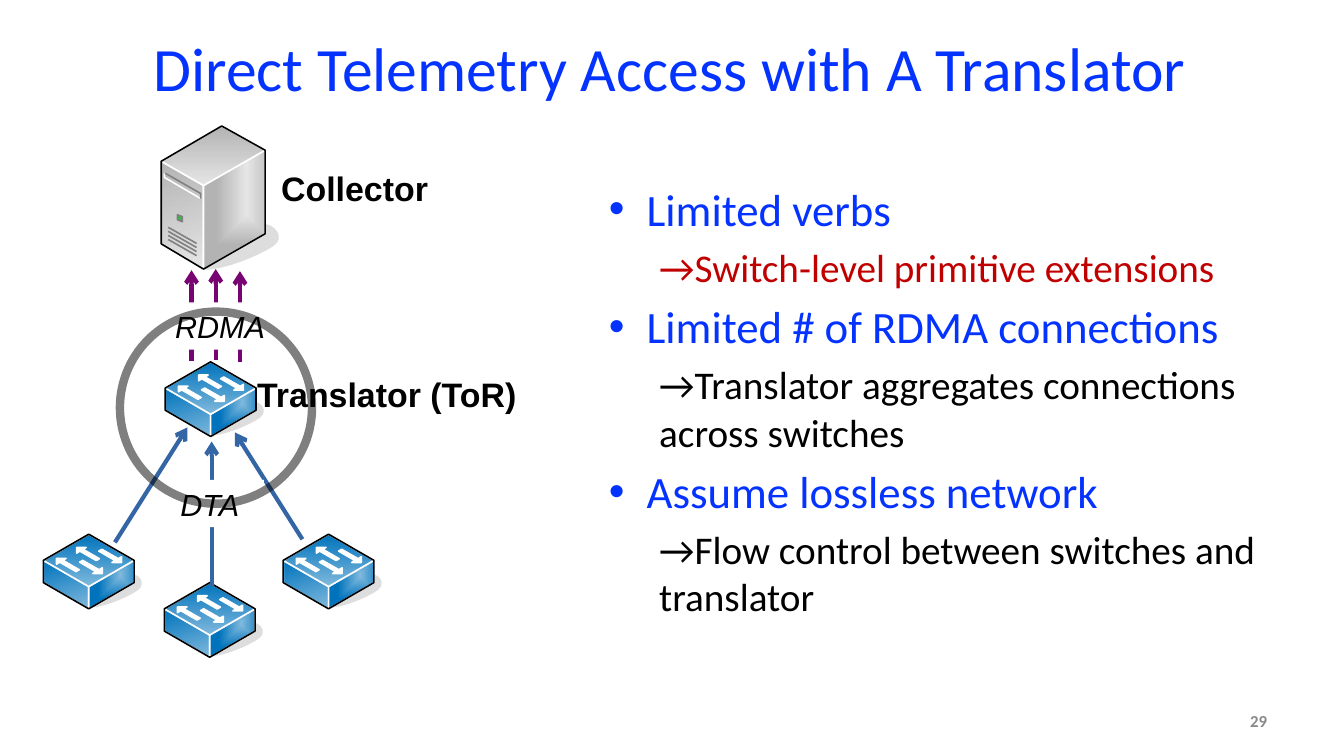
from dataclasses import dataclass

from lxml import etree
from pptx import Presentation
from pptx.dml.color import RGBColor
from pptx.enum.shapes import MSO_CONNECTOR as Connector, MSO_SHAPE as Preset
from pptx.enum.text import MSO_ANCHOR as Anchor, MSO_AUTO_SIZE as AutoSize, PP_ALIGN as Align
from pptx.oxml.ns import qn
from pptx.util import Pt

Point = tuple[float, float]

BLACK, WHITE, GREY, SHADOW = "000000", "FFFFFF", "808080", "DDDDDD"
TITLE_BLUE, RED, PURPLE, LINK_BLUE = "0432FF", "C00000", "780373", "3465A4"
DETAIL_WIDTH = 1.13


@dataclass
class Gradient:
    start: str
    end: str
    angle: float | None = None  # None: radiates from a rectangle


@dataclass
class Facet:
    points: list[Point]
    fill: str | Gradient | None = None
    line: str = WHITE
    closed: bool = True


@dataclass
class Arrow:
    start: Point
    end: Point
    color: str


@dataclass
class Label:
    text: str
    box: tuple[float, float, float, float]
    style: dict
    align: Align = Align.LEFT
    anchor: Anchor = Anchor.TOP
    insets: Point = (8.64, 4.32)
    white_back: bool = False


def rgb(color: str) -> RGBColor:
    return RGBColor.from_string(color)


def style_font(font, style: dict, color: str = BLACK) -> None:
    for attribute, value in style.items():
        setattr(font, attribute, value)
    font.color.rgb = rgb(color)


def place(shape, box) -> None:
    for side, value in zip(("left", "top", "width", "height"), box):
        setattr(shape, side, Pt(value))


def curve(start: Point, *cubics: tuple[Point, Point, Point], steps: int = 8) -> list[Point]:
    """Flatten a chain of Bezier curves into points."""
    points = [start]
    for a, b, end in cubics:
        begin = points[-1]
        for t in (i / steps for i in range(1, steps + 1)):
            weights = ((1 - t) ** 3, 3 * t * (1 - t) ** 2, 3 * t * t * (1 - t), t ** 3)
            points.append(tuple(sum(w * p[axis] for w, p in zip(weights, (begin, a, b, end)))
                                for axis in (0, 1)))
    return points


def apply_gradient(fill, gradient: Gradient) -> None:
    fill.gradient()
    for stop, color in zip(fill.gradient_stops, (gradient.start, gradient.end)):
        stop.color.rgb = rgb(color)
    if gradient.angle is not None:
        fill.gradient_angle = gradient.angle
        return
    lin = next(fill._xPr.iter(qn("a:lin")))
    radial = etree.Element(qn("a:path"), {"path": "rect"})
    etree.SubElement(radial, qn("a:fillToRect"),
                     {"l": "70000", "t": "30000", "r": "30000", "b": "70000"})
    lin.getparent().replace(lin, radial)


def draw_facet(shapes, facet: Facet, origin: Point) -> None:
    first, *rest = [(Pt(x), Pt(y)) for x, y in facet.points]
    builder = shapes.build_freeform(*first, scale=1.0)
    builder.add_line_segments(rest, close=facet.closed)
    shape = builder.convert_to_shape(Pt(origin[0]), Pt(origin[1]))
    shape.shadow.inherit = False
    if facet.fill is None:
        shape.fill.background()
    elif isinstance(facet.fill, Gradient):
        apply_gradient(shape.fill, facet.fill)
    else:
        shape.fill.solid()
        shape.fill.fore_color.rgb = rgb(facet.fill)
    shape.line.color.rgb = rgb(facet.line)
    shape.line.width = Pt(DETAIL_WIDTH)


def draw_icon(slide, facets: list[Facet], origin: Point) -> None:
    group = slide.shapes.add_group_shape()
    for facet in facets:
        draw_facet(group.shapes, facet, origin)


def box_facets(rim: list[Point], corner: Point, dark: str, light: str) -> list[Facet]:
    """Faces of an isometric box; rim runs clockwise from lower left, corner is the near top one."""
    low_left, left, back, right, low_right, front = rim
    return [Facet([low_left, left, corner, front], Gradient(dark, light, 288)),
            Facet([front, corner, right, low_right], Gradient(light, dark)),
            Facet([corner, left, back, right], Gradient(dark, light, 270)),
            Facet(rim, line=BLACK)]


def server_facets() -> list[Facet]:
    shadow = curve((30.2, 102.2), ((45.4, 102.2), (69.1, 92.2), (79.2, 85.7)),
                   ((89.3, 79.2), (79.2, 70.6), (74.2, 70.6)))
    rim = [(0, 84.2), (0, 25.2), (43.2, 0), (74.2, 17.3), (74.2, 77), (30.2, 102.2)]
    vents = [Facet([(25.2, y + 11.5), (5, y)], line=GREY, closed=False)
             for y in (72.4 + 2.9 * row for row in range(4))]
    return [Facet(shadow, SHADOW, SHADOW),
            *box_facets(rim, (30.2, 42.5), "B3B3B3", "E5E5E5"), *vents,
            Facet([(28.1, 51.8), (2.2, 36.7), (2.2, 33.8)], closed=False),
            Facet([(28.1, 51.8), (28.1, 48.2), (2.9, 33.8)], line=GREY, closed=False),
            Facet([(11.5, 67), (11.5, 63.4), (15.1, 64.8), (15.1, 68.4)], "39B54A", GREY)]


def switch_facets() -> list[Facet]:
    shadow = curve((34.6, 51.8), ((43.2, 51.8), (67, 41.8), (69.1, 37.4)),
                   ((71.3, 33.1), (67, 29.5), (64.8, 29.5)),
                   ((64.8, 35.3), (34.6, 42.5), (34.6, 51.8)))
    rim = [(0, 34.6), (0, 18.7), (32.4, 0), (64.8, 18.7), (64.8, 34.6), (32.4, 53.3)]
    inward = [(2.3, 2.7), (14, 9.4), (16.2, 8.1), (4.6, 1.4), (6.8, 0), (0, 0), (0, 4.1)]
    outward = [(16.2 - x, 9.4 - y) for x, y in inward]
    marks = [(inward, 9.4, 17.3), (outward, 25.9, 18.7),
             (inward, 23.8, 9.4), (outward, 39.6, 10.8)]
    return [Facet(shadow, SHADOW, SHADOW),
            *box_facets(rim, (32.4, 37.4), "0073BC", "7FB9DD"),
            *(Facet([(x + dx, y + dy) for x, y in mark], WHITE) for mark, dx, dy in marks)]


def draw_arrow(slide, arrow: Arrow) -> None:
    ends = [Pt(value) for value in (*arrow.start, *arrow.end)]
    connector = slide.shapes.add_connector(Connector.STRAIGHT, *ends)
    connector.line.color.rgb = rgb(arrow.color)
    connector.line.width = Pt(3)
    etree.SubElement(connector.line._get_or_add_ln(), qn("a:tailEnd"), {"type": "arrow"})
    etree.SubElement(connector._element.spPr, qn("a:effectLst"))


def draw_label(slide, label: Label, color: str = BLACK) -> None:
    box = [Pt(value) for value in label.box]
    if label.white_back:
        shape = slide.shapes.add_shape(Preset.RECTANGLE, *box)
        shape.shadow.inherit = False
        shape.fill.solid()
        shape.fill.fore_color.rgb = rgb(WHITE)
        shape.line.fill.background()
    else:
        shape = slide.shapes.add_textbox(*box)
    frame = shape.text_frame
    across, down = (Pt(inset) for inset in label.insets)
    layout = dict(word_wrap=True, vertical_anchor=label.anchor, margin_left=across,
                  margin_right=across, margin_top=down, margin_bottom=down)
    for attribute, value in layout.items():
        setattr(frame, attribute, value)
    paragraph = frame.paragraphs[0]
    paragraph.alignment = label.align
    run = paragraph.add_run()
    run.text = label.text
    style_font(run.font, label.style, color)


def draw_ring(slide) -> None:
    ring = slide.shapes.add_shape(Preset.OVAL, Pt(85.7), Pt(222.6), Pt(137.2), Pt(137.2))
    ring.shadow.inherit = False
    ring.fill.background()
    ring.line.color.rgb = rgb(BLACK)
    ring.line.width = Pt(6)
    shade = next(ring.line._get_or_add_ln().iter(qn("a:srgbClr")))
    etree.SubElement(shade, qn("a:alpha"), {"val": "50000"})


def fill_title(title) -> None:
    place(title, (46.8, 17.3, 864, 60.5))
    title.text_frame.text = "Direct Telemetry Access with A Translator"
    title.text_frame.vertical_anchor = Anchor.MIDDLE
    heading = title.text_frame.paragraphs[0]
    heading.alignment = Align.CENTER
    style_font(heading.runs[0].font, dict(name="Calibri", size=Pt(44)), TITLE_BLUE)


def fill_body(body) -> None:
    place(body, (427.7, 126, 532, 356.4))
    answers = [("Limited verbs", "→Switch-level primitive extensions", RED),
               ("Limited # of RDMA connections",
                "→Translator aggregates connections across switches", BLACK),
               ("Assume lossless network", "→Flow control between switches and translator", BLACK)]
    lines = [line for limit, answer, color in answers
             for line in ((limit, 0, 32, TITLE_BLUE), (answer, 1, 28, color))]
    frame = body.text_frame
    frame.auto_size = AutoSize.NONE
    frame.text = "\n".join(text for text, *_ in lines)
    for paragraph, (_, level, size, color) in zip(frame.paragraphs, lines):
        paragraph.level = level
        properties = paragraph._p.get_or_add_pPr()
        properties.set("marL", str(Pt(36 if level else 27)))
        properties.set("indent", str(Pt(0 if level else -27)))
        if level:
            etree.SubElement(properties, qn("a:buNone"))
        style_font(paragraph.runs[0].font, dict(name="Calibri", size=Pt(size)), color)


def main() -> None:
    deck = Presentation()
    deck.slide_width, deck.slide_height = Pt(960), Pt(540)
    slide = deck.slides.add_slide(deck.slide_layouts[1])
    fill_title(slide.shapes.title)
    fill_body(slide.placeholders[1])

    name_style = dict(name="Arial", size=Pt(24.2), bold=True)
    protocol_style = dict(name="Arial", size=Pt(21.8), italic=True)

    draw_icon(slide, server_facets(), (115.2, 90))
    for origin in ((118.1, 258.5), (31, 381.6), (202.3, 381.6), (117.4, 416.2)):
        draw_icon(slide, switch_facets(), origin)

    for x, top in ((154.1, 192.2), (136.8, 193), (171.4, 193.7)):
        draw_arrow(slide, Arrow((x, top + 64.8), (x, top), PURPLE))
    draw_label(slide, Label("RDMA", (109.4, 216, 95.8, 33.8), protocol_style,
                            Align.CENTER, white_back=True))
    draw_label(slide, Label("Collector", (192.2, 115.2, 188.6, 36.7), name_style))
    draw_label(slide, Label("Translator (ToR)", (175, 262.8, 236.9, 36.7), name_style))

    for start, end in (((82.1, 387.4), (133.9, 305.3)), ((151.2, 418.3), (151.2, 315.4)),
                       ((216, 385.2), (167.8, 308.9))):
        draw_arrow(slide, Arrow(start, end, LINK_BLUE))
    draw_label(slide, Label("DTA", (120.2, 342.7, 68.4, 33.8), protocol_style, white_back=True))
    draw_ring(slide)
    draw_label(slide, Label("29", (688.3, 500.4, 223.9, 28.8),
                            dict(name="Calibri", size=Pt(12), bold=True),
                            Align.RIGHT, Anchor.MIDDLE, (7.2, 3.6)), "898989")
    deck.save("out.pptx")


if __name__ == "__main__":
    main()
